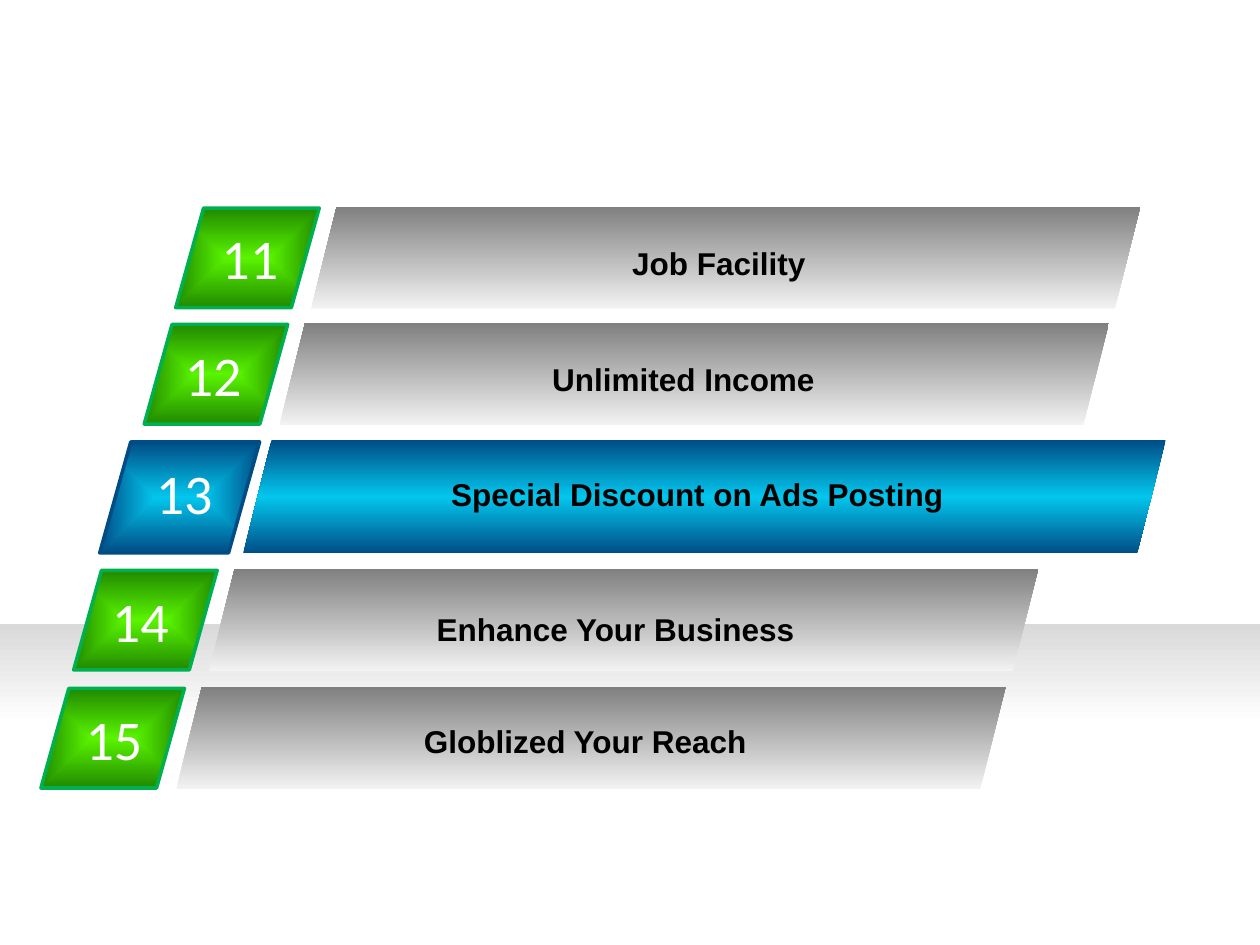
"""Build a slide with five slanted, numbered feature bars."""
from dataclasses import dataclass

import pptx
import pptx.dml.color
import pptx.enum.shapes
import pptx.enum.text
import pptx.oxml
import pptx.oxml.ns
import pptx.util

Pt = pptx.util.Pt
RGBColor = pptx.dml.color.RGBColor
Shape = pptx.enum.shapes.MSO_SHAPE
Align = pptx.enum.text.PP_ALIGN

WHITE = RGBColor(0xFF, 0xFF, 0xFF)
BLACK = RGBColor(0x00, 0x00, 0x00)
FLOOR_GRAY = RGBColor(0xD9, 0xD9, 0xD9)
LIGHT_GRAY = RGBColor(0xF2, 0xF2, 0xF2)
MID_GRAY = RGBColor(0x80, 0x80, 0x80)
LIME = RGBColor(0x5A, 0xF3, 0x00)
DARK_GREEN = RGBColor(0x20, 0x8A, 0x00)
EDGE_GREEN = RGBColor(0x00, 0xB0, 0x50)
CYAN = RGBColor(0x03, 0xC6, 0xED)
NAVY = RGBColor(0x00, 0x4D, 0x86)

UPWARD = '<a:lin ang="16200000" scaled="0"/>'
FROM_CENTER = ('<a:path path="shape"><a:fillToRect l="50000" t="50000" '
               'r="50000" b="50000"/></a:path>')
Stops = list[tuple[int, RGBColor]]


@dataclass(frozen=True)
class Style:
    """Sizes and colours shared by rows of one kind."""
    bar_width: float
    bar_height: float
    bar_stops: Stops
    badge_width: float
    badge_height: float
    badge_shift: float
    badge_drop: float
    badge_stops: Stops
    edge: RGBColor
    number_drop: float
    label_width: float


@dataclass(frozen=True)
class Row:
    """One numbered bar; positions are in points."""
    number: str
    label: str
    left: float
    top: float
    number_left: float
    label_left: float
    label_top: float
    style: Style


NORMAL = Style(473.8, 58.3, [(0, LIGHT_GRAY), (100, MID_GRAY)], 82, 56.9, 77.4, 0.9,
               [(0, LIME), (100, DARK_GREEN)], EDGE_GREEN, 6.3, 425.5)
FEATURED = Style(527, 64.8, [(0, NAVY), (50, CYAN), (100, NAVY)], 91.4, 63.4, 82, 1,
                 [(0, CYAN), (100, NAVY)], NAVY, 7.2, 473)

ROWS = [
    Row("11", "Job Facility", 177.8, 118, 119.5, 198, 136.1, NORMAL),
    Row("12", "Unlimited Income", 159.8, 184.5, 98.6, 177.8, 202.3, NORMAL),
    Row("13", "Special Discount on Ads Posting", 139, 251.5, 82, 162, 267.8, FEATURED),
    Row("14", "Enhance Your Business", 119.5, 325, 56.9, 139, 344.9, NORMAL),
    Row("15", "Globlized Your Reach", 100.8, 392.5, 41.8, 121.7, 409, NORMAL),
]


def add_gradient_shape(shapes, kind: Shape, left: float, top: float, width: float,
                       height: float, stops: Stops, direction: str):
    """Add a preset shape without a line, filled with a gradient."""
    shape = shapes.add_shape(kind, Pt(left), Pt(top), Pt(width), Pt(height))
    shape.shadow.inherit = False
    shape.line.fill.background()
    shape.fill.gradient()
    old = shape._element.spPr.find(pptx.oxml.ns.qn("a:gradFill"))
    marks = "".join(f'<a:gs pos="{place * 1000}"><a:srgbClr val="{color}"/></a:gs>'
                    for place, color in stops)
    new = pptx.oxml.parse_xml(
        f'<a:gradFill {pptx.oxml.ns.nsdecls("a")} rotWithShape="1">'
        f'<a:gsLst>{marks}</a:gsLst>{direction}</a:gradFill>')
    old.getparent().replace(old, new)
    return shape


def add_text(shapes, text: str, left: float, top: float, width: float, height: float,
             *, font: str, size: float, color: RGBColor, bold: bool = False,
             align: Align = Align.LEFT) -> None:
    """Add a wrapping text box with one formatted paragraph."""
    box = shapes.add_textbox(Pt(left), Pt(top), Pt(width), Pt(height))
    box.text_frame.word_wrap = True
    box.text_frame.auto_size = pptx.enum.text.MSO_AUTO_SIZE.SHAPE_TO_FIT_TEXT
    para = box.text_frame.paragraphs[0]
    para.alignment = align
    span = para.add_run()
    span.text = text
    span.font.name = font
    span.font.size = Pt(size)
    span.font.bold = bold
    span.font.color.rgb = color


def add_row(page, row: Row) -> None:
    """Draw a bar, its numbered badge and its label."""
    style = row.style
    add_gradient_shape(page.shapes, Shape.PARALLELOGRAM, row.left, row.top,
                       style.bar_width, style.bar_height, style.bar_stops, UPWARD)
    group = page.shapes.add_group_shape()
    badge = add_gradient_shape(
        group.shapes, Shape.PARALLELOGRAM, row.left - style.badge_shift,
        row.top + style.badge_drop, style.badge_width, style.badge_height,
        style.badge_stops, FROM_CENTER)
    badge.adjustments[0] = 0.28
    badge.line.color.rgb = style.edge
    badge.line.width = Pt(2)
    add_text(group.shapes, row.number, row.number_left, row.top + style.number_drop,
             56, 46, font="Calibri", size=32, color=WHITE)
    add_text(page.shapes, row.label, row.label_left, row.label_top, style.label_width,
             29, font="Arial", size=18, color=BLACK, bold=True, align=Align.CENTER)


def main() -> None:
    """Build and save the deck."""
    deck = pptx.Presentation()
    deck.slide_width, deck.slide_height = Pt(720), Pt(540)
    page = deck.slides.add_slide(deck.slide_layouts[6])
    add_gradient_shape(page.shapes, Shape.RECTANGLE, 0, 356.4, 720, 145.4,
                       [(61, WHITE), (100, FLOOR_GRAY)], UPWARD)
    for row in ROWS:
        add_row(page, row)
    deck.save("out.pptx")


main()
